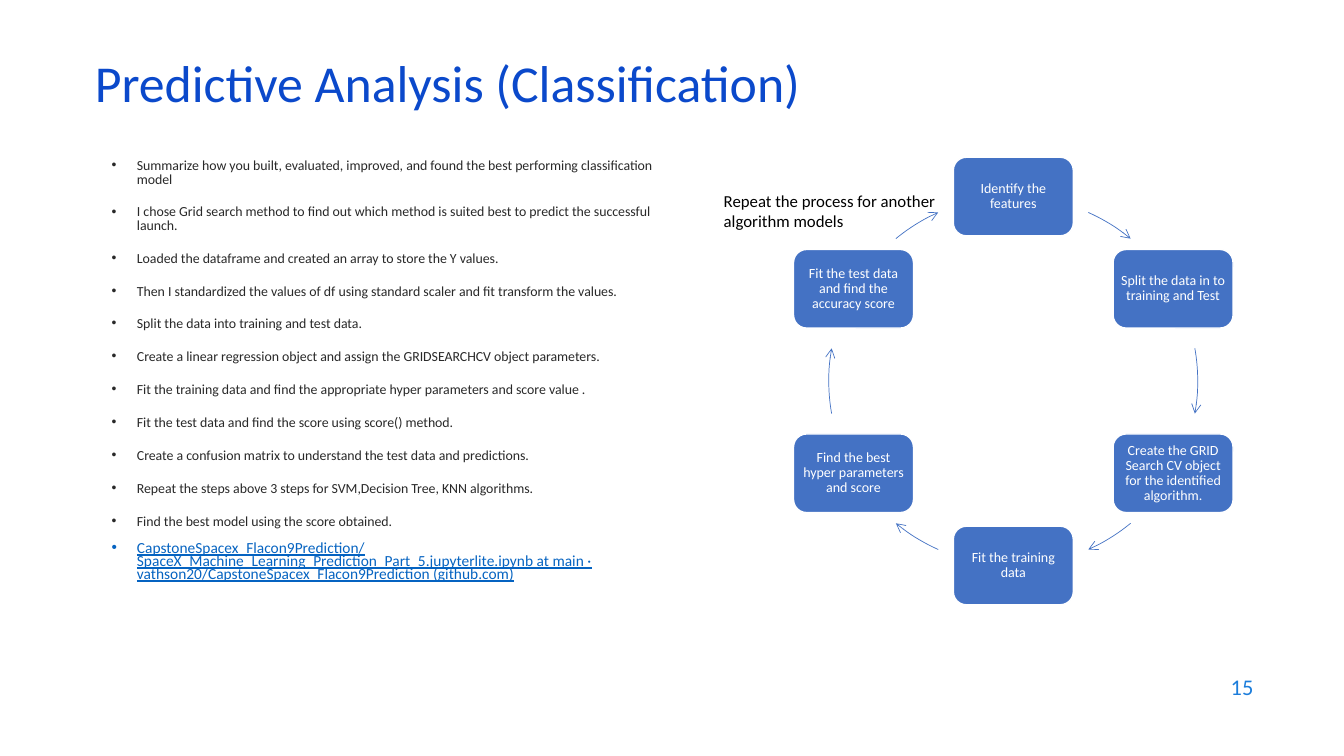
from math import cos, radians, sin

from lxml import etree
from pptx import Presentation
from pptx.dml.color import RGBColor
from pptx.enum.shapes import MSO_SHAPE
from pptx.enum.text import MSO_ANCHOR, MSO_AUTO_SIZE, PP_ALIGN
from pptx.oxml.ns import qn
from pptx.util import Inches, Pt

TITLE = "Predictive Analysis (Classification)"
POINTS = [
    "Summarize how you built, evaluated, improved, and found the best performing classification model",
    "I chose Grid search method to find out which method is suited best to predict the successful launch.",
    "Loaded the dataframe and created an array to store the Y values.",
    "Then I standardized the values of df using standard scaler and fit transform the values.",
    "Split the data into training and test data.",
    "Create a linear regression object and assign the GRIDSEARCHCV object parameters.",
    "Fit the training data and find the appropriate hyper parameters and score value .",
    "Fit the test data and find the score using score() method.",
    "Create a confusion matrix to understand the test data and predictions.",
    "Repeat the steps above 3 steps for SVM,Decision Tree, KNN algorithms.",
    "Find the best model using the score obtained.",
]
SOURCE = (
    "CapstoneSpacex_Flacon9Prediction/SpaceX_Machine_Learning_Prediction_Part_5.jupyterlite.ipynb"
    " at main · vathson20/CapstoneSpacex_Flacon9Prediction (github.com)"
)
# Each step with the start and end angle, in degrees, of the arrow after it
STEPS = [
    ("Identify the features", -66, -50.5),
    ("Split the data in to training and Test", -10.2, 10.2),
    ("Create the GRID Search CV object for the identified algorithm.", 50.5, 66),
    ("Fit the training data", 114, 129.5),
    ("Find the best hyper parameters and score", 169.8, 190.2),
    ("Fit the test data and find the accuracy score", 230.5, 246),
]
NOTE = "Repeat the process for another algorithm models"
NUMBER = "15"

FONT = "Calibri"
NAVY = RGBColor(0x0B, 0x49, 0xCB)
SKY = RGBColor(0x1C, 0x7D, 0xDB)
BLUE = RGBColor(0x44, 0x72, 0xC4)
LINK = RGBColor(0x05, 0x63, 0xC1)
INK = RGBColor(0x29, 0x29, 0x29)
BLACK = RGBColor(0, 0, 0)
WHITE = RGBColor(255, 255, 255)
LEFT, CENTER, RIGHT = PP_ALIGN.LEFT, PP_ALIGN.CENTER, PP_ALIGN.RIGHT
TOP, MIDDLE = MSO_ANCHOR.TOP, MSO_ANCHOR.MIDDLE

MID_X, MID_Y, RADIUS = 10.05, 3.78, 1.83
BOX_W, BOX_H = 1.19, 0.78


def set_frame(shape, anchor=TOP, inset=None):
    frame = shape.text_frame
    frame.word_wrap = True
    frame.auto_size = MSO_AUTO_SIZE.NONE
    frame.vertical_anchor = anchor
    if inset is not None:
        frame.margin_left = frame.margin_right = Inches(inset)
        frame.margin_top = frame.margin_bottom = Inches(inset)
    return frame


def add_run(para, text, size, color, align=LEFT, spacing=1.0):
    para.alignment = align
    para.line_spacing = spacing
    run = para.add_run()
    run.text = text
    run.font.name = FONT
    run.font.size = Pt(size)
    run.font.color.rgb = color
    return run


def add_text(slide, left, top, width, height, anchor=TOP):
    box = slide.shapes.add_textbox(*map(Inches, (left, top, width, height)))
    return set_frame(box, anchor)


def add_bullet(para):
    props = para._p.get_or_add_pPr()
    props.set("marL", str(Inches(0.25)))
    props.set("indent", str(-Inches(0.25)))
    etree.SubElement(props, qn("a:buFont"), typeface="Arial")
    etree.SubElement(props, qn("a:buChar"), char="•")


def add_points(slide):
    frame = add_text(slide, 1.01, 1.54, 5.57, 4.76)
    for i, point in enumerate(POINTS):
        para = frame.add_paragraph() if i else frame.paragraphs[0]
        add_bullet(para)
        para.space_before = Pt(14 if i else 0)
        add_run(para, point, 9.9, INK, spacing=0.8)
    para = frame.add_paragraph()
    add_bullet(para)
    para.space_before = Pt(10)
    add_run(para, SOURCE, 11, LINK, spacing=0.7).font.underline = True


def add_step(slide, text, angle):
    left = MID_X + RADIUS * cos(radians(angle)) - BOX_W / 2
    top = MID_Y + RADIUS * sin(radians(angle)) - BOX_H / 2
    box = slide.shapes.add_shape(
        MSO_SHAPE.ROUNDED_RECTANGLE, *map(Inches, (left, top, BOX_W, BOX_H)))
    box.shadow.inherit = False
    box.fill.solid()
    box.fill.fore_color.rgb = BLUE
    box.line.color.rgb = WHITE
    box.line.width = Pt(1)
    frame = set_frame(box, MIDDLE, 0.04)
    add_run(frame.paragraphs[0], text, 10, WHITE, CENTER, 0.9)


def add_arrow(slide, start, end):
    """Draw a clockwise arc of the ring with an arrowhead at its end."""
    arc = slide.shapes.add_shape(MSO_SHAPE.ARC, *map(
        Inches, (MID_X - RADIUS, MID_Y - RADIUS, 2 * RADIUS, 2 * RADIUS)))
    # An angle is stored in 60000ths of a degree, an adjustment in 100000ths
    for i, angle in enumerate((start, end)):
        arc.adjustments[i] = angle % 360 * 0.6
    arc.shadow.inherit = False
    arc.fill.background()
    arc.line.color.rgb = BLUE
    arc.line.width = Pt(0.5)
    etree.SubElement(arc.line._get_or_add_ln(), qn("a:tailEnd"), type="arrow")


def main():
    deck = Presentation()
    deck.slide_width, deck.slide_height = Inches(13.33), Inches(7.5)
    slide = deck.slides.add_slide(deck.slide_layouts[5])

    title = slide.shapes.title
    title.left, title.top = Inches(0.84), Inches(0.59)
    title.width, title.height = Inches(11.5), Inches(0.6)
    frame = set_frame(title, MIDDLE)
    add_run(frame.paragraphs[0], TITLE, 37, NAVY, spacing=0.7)

    add_points(slide)
    for i, (text, start, end) in enumerate(STEPS):
        add_step(slide, text, 60 * i - 90)
        add_arrow(slide, start, end)

    frame = add_text(slide, 7.08, 1.84, 2.33, 0.5)
    add_run(frame.paragraphs[0], NOTE, 12, BLACK)
    frame = add_text(slide, 9.53, 6.59, 3, 0.44, MIDDLE)
    add_run(frame.paragraphs[0], NUMBER, 16, SKY, RIGHT)
    deck.save("out.pptx")


if __name__ == "__main__":
    main()
